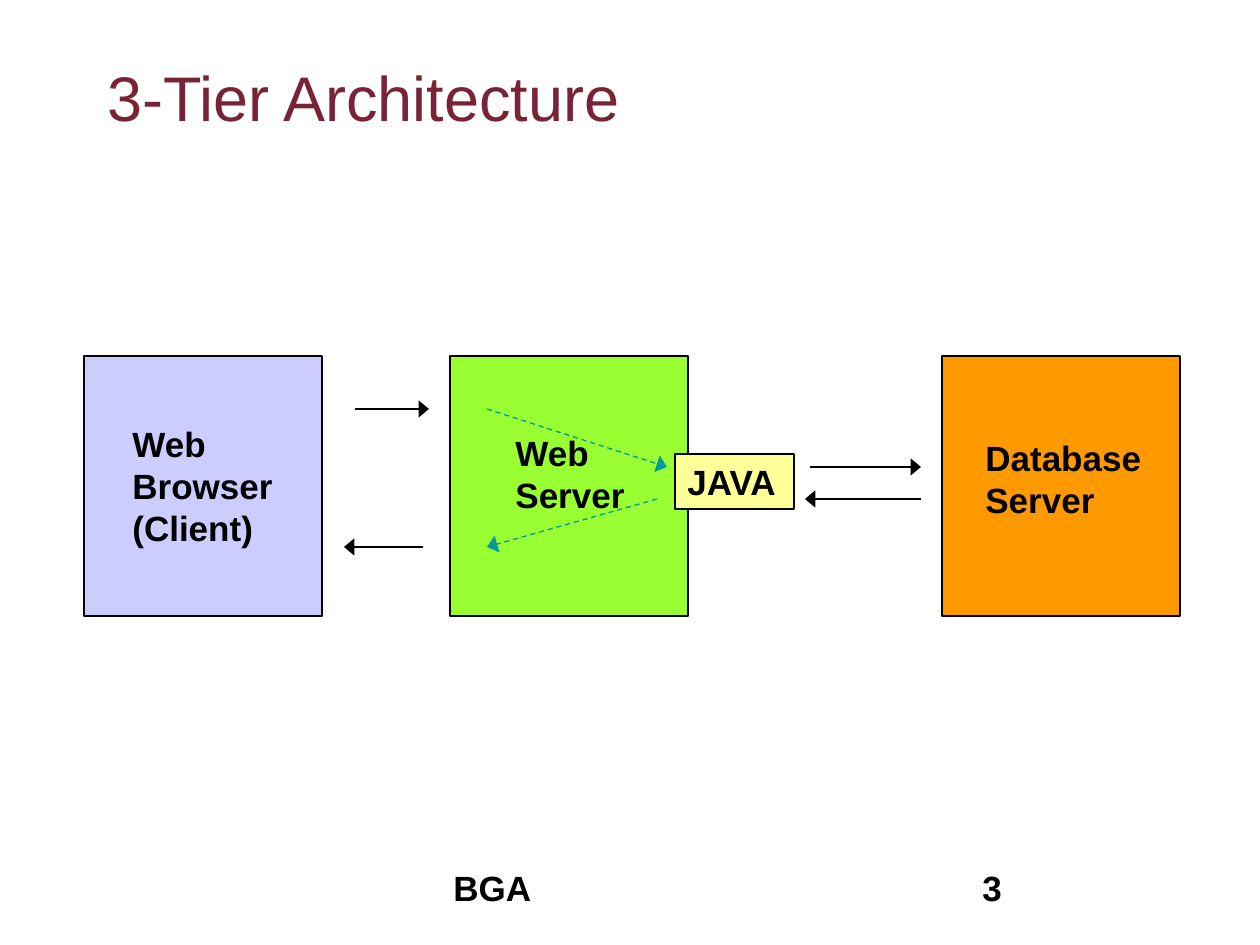
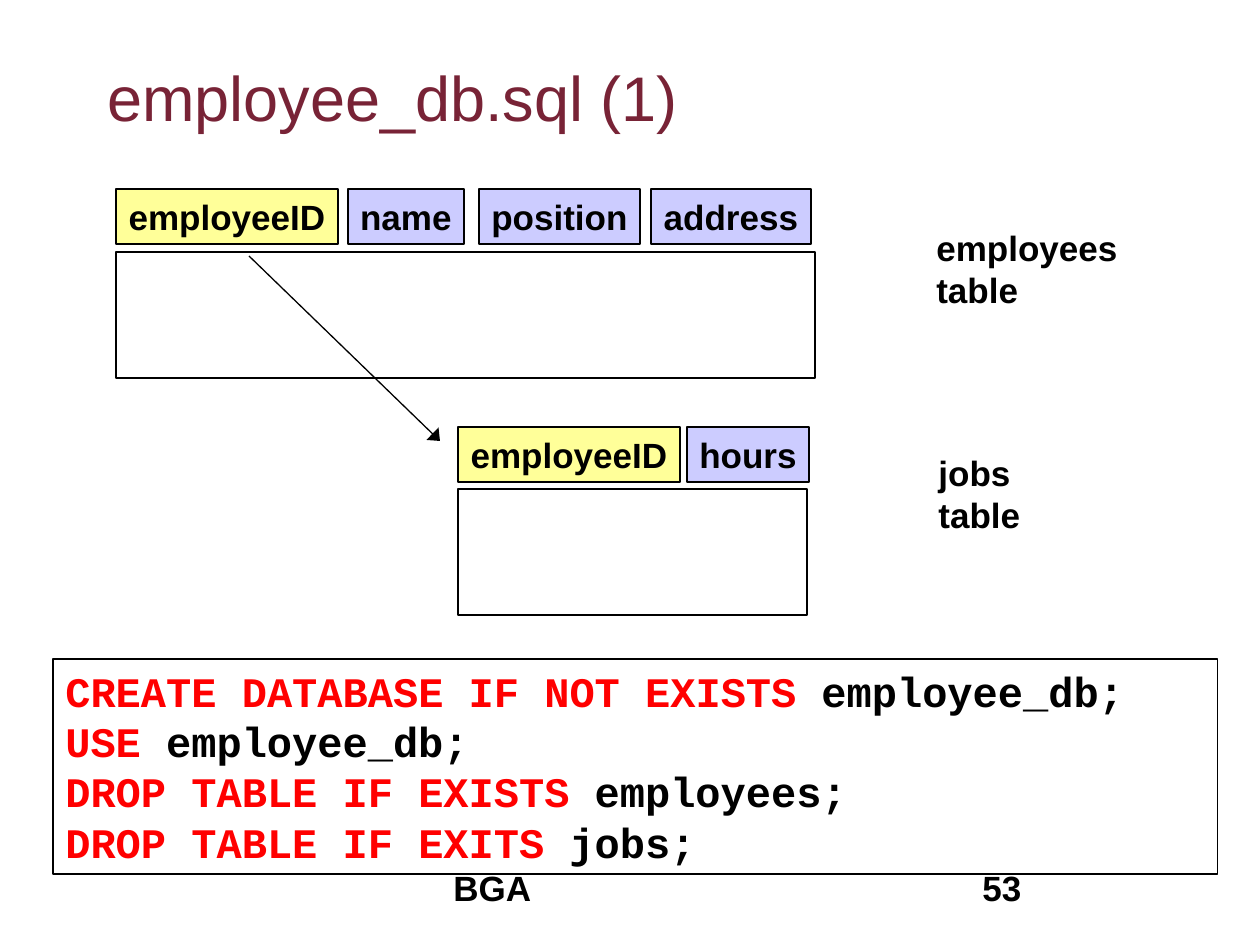
from lxml import etree
from pptx import Presentation
from pptx.dml.color import RGBColor
from pptx.enum.dml import MSO_LINE
from pptx.enum.shapes import MSO_CONNECTOR, MSO_SHAPE
from pptx.enum.text import MSO_ANCHOR, PP_ALIGN
from pptx.oxml.ns import qn
from pptx.util import Pt

PX = 914400 // 126
RECTANGLE = MSO_SHAPE.RECTANGLE
STRAIGHT = MSO_CONNECTOR.STRAIGHT
DASH = MSO_LINE.DASH
LEFT, CENTER = PP_ALIGN.LEFT, PP_ALIGN.CENTER
TOP, MIDDLE = MSO_ANCHOR.TOP, MSO_ANCHOR.MIDDLE

color = RGBColor.from_string
BLACK, MAROON, TEAL, RED = "000000", "782336", "009999", "FF0000"
LAVENDER, GREEN, ORANGE, YELLOW = "CCCCFF", "99FF33", "FF9900", "FFFF99"


def add_box(shapes, at, text="", fill=None, outlined=False, size=20, font="Arial",
            ink=BLACK, bold=True, align=LEFT, anchor=TOP, wrap=False):
    """Add a text box, or a rectangle when outlined, and return its paragraph."""
    place = [value * PX for value in at]
    if outlined:
        box = shapes.add_shape(RECTANGLE, *place)
        box.shadow.inherit = False
        box.line.color.rgb = color(BLACK)
        box.line.width = Pt(0.75)
        if fill:
            box.fill.solid()
            box.fill.fore_color.rgb = color(fill)
        else:
            box.fill.background()
    else:
        box = shapes.add_textbox(*place)
    frame = box.text_frame
    frame.word_wrap = wrap
    frame.vertical_anchor = anchor
    paragraph = frame.paragraphs[0]
    paragraph.text = text
    paragraph.alignment = align
    paragraph.line_spacing = Pt(size * 1.2)
    paragraph.font.name = font
    paragraph.font.size = Pt(size)
    paragraph.font.bold = bold
    paragraph.font.color.rgb = color(ink)
    return paragraph


def add_arrow(shapes, ends, ink=BLACK, dashed=False):
    arrow = shapes.add_connector(STRAIGHT, *[value * PX for value in ends])
    arrow.line.color.rgb = color(ink)
    arrow.line.width = Pt(0.75)
    if dashed:
        arrow.line.dash_style = DASH
    head = etree.SubElement(arrow.line._get_or_add_ln(), qn("a:tailEnd"))
    head.set("type", "triangle")
    head.set("w", "lg")
    etree.SubElement(arrow._element.spPr, qn("a:effectLst"))


deck = Presentation()
deck.slide_width = 1260 * PX
deck.slide_height = 945 * PX

# Shared title and footer
pages = []
for title, number in [("3-Tier Architecture", "3"), ("employee_db.sql (1)", "53")]:
    shapes = deck.slides.add_slide(deck.slide_layouts[6]).shapes
    add_box(shapes, (95, 52, 1071, 158), title, size=36, ink=MAROON, bold=False, wrap=True)
    add_box(shapes, (441, 860, 399, 63), "BGA", wrap=True)
    add_box(shapes, (970, 860, 262, 63), number, wrap=True)
    pages.append(shapes)
architecture, database = pages

# Slide 1: the three tiers and their labels
tiers = [
    (84, LAVENDER, "Web\nBrowser\n(Client)", (120, 416, 175, 139)),
    (450, GREEN, "Web\nServer", (503, 425, 144, 139)),
    (942, ORANGE, "Database\nServer", (973, 430, 191, 139)),
]
for left, fill, label, label_at in tiers:
    add_box(architecture, (left, 356, 238, 260), fill=fill, outlined=True)
    add_box(architecture, label_at, label)
add_box(architecture, (675, 454, 119, 55), "JAVA", YELLOW, outlined=True)

# Requests run right, replies run left
for ends in [(355, 409, 429, 409), (423, 547, 344, 547),
             (810, 467, 921, 467), (921, 499, 805, 499)]:
    add_arrow(architecture, ends)
for ends in [(487, 409, 667, 467), (657, 499, 487, 547)]:
    add_arrow(architecture, ends, TEAL, dashed=True)

# Slide 2: tables with their key field first
tables = [
    (189, (116, 252, 699, 126), "employees\ntable", (924, 220, 216, 97),
     [("employeeID", 116, 222), ("name", 348, 116),
      ("position", 479, 161), ("address", 651, 160)]),
    (427, (458, 489, 349, 126), "jobs\ntable", (926, 445, 117, 97),
     [("employeeID", 458, 222), ("hours", 687, 122)]),
]
for header_top, body_at, caption, caption_at, fields in tables:
    table = database.add_group_shape().shapes
    add_box(table, body_at, outlined=True)
    for field, left, width in fields:
        fill = YELLOW if field == "employeeID" else LAVENDER
        add_box(table, (left, header_top, width, 55), field, fill, outlined=True,
                align=CENTER, anchor=MIDDLE)
    add_box(database, caption_at, caption)
add_arrow(database, (249, 256, 440, 441))

# SQL statements: keywords in red
statements = [
    ("CREATE DATABASE IF NOT EXISTS", " employee_db;"),
    ("USE", " employee_db;"),
    ("DROP TABLE IF EXISTS", " employees;"),
    ("DROP TABLE IF EXITS", " jobs;"),
]
code = add_box(database, (53, 659, 1165, 215), outlined=True, size=24,
               font="Courier New", wrap=True)
for index, (keywords, target) in enumerate(statements):
    if index:
        code.add_line_break()
    for text, ink in [(keywords, RED), (target, BLACK)]:
        run = code.add_run()
        run.text = text
        run.font.color.rgb = color(ink)

deck.save("out.pptx")
